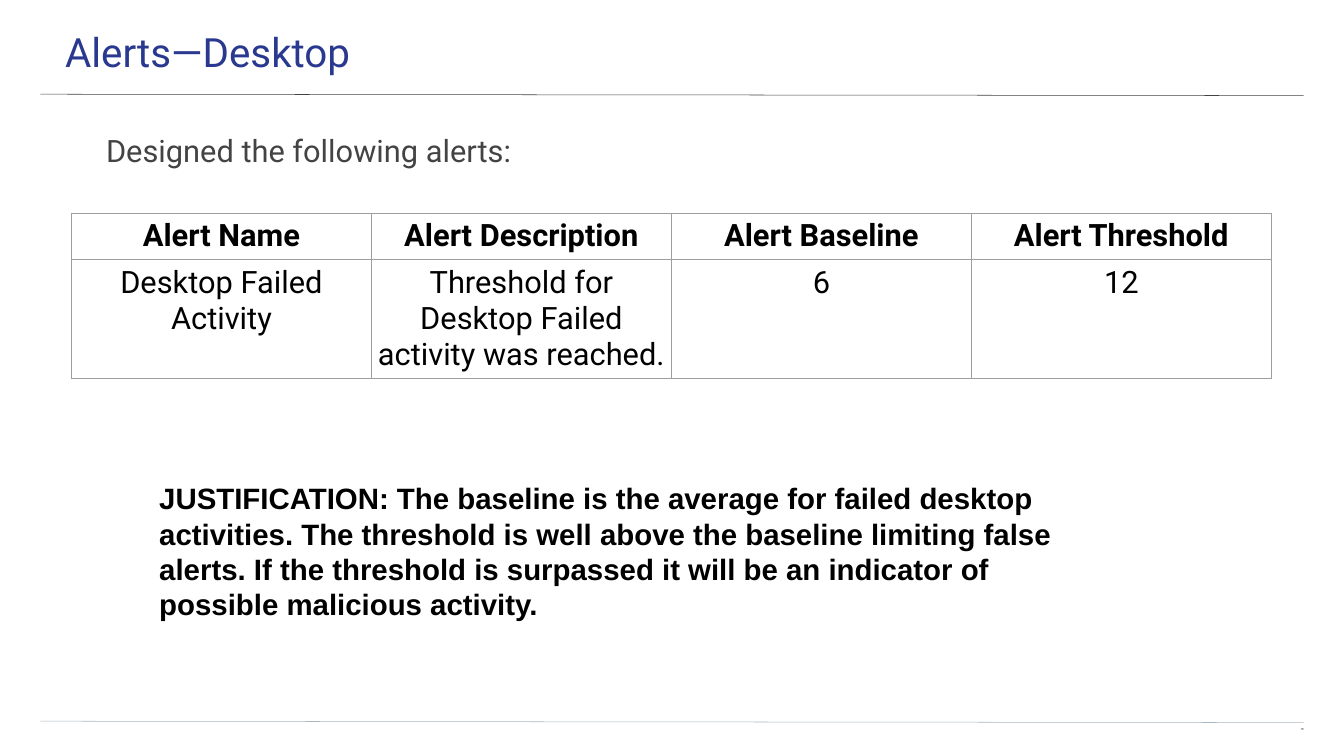
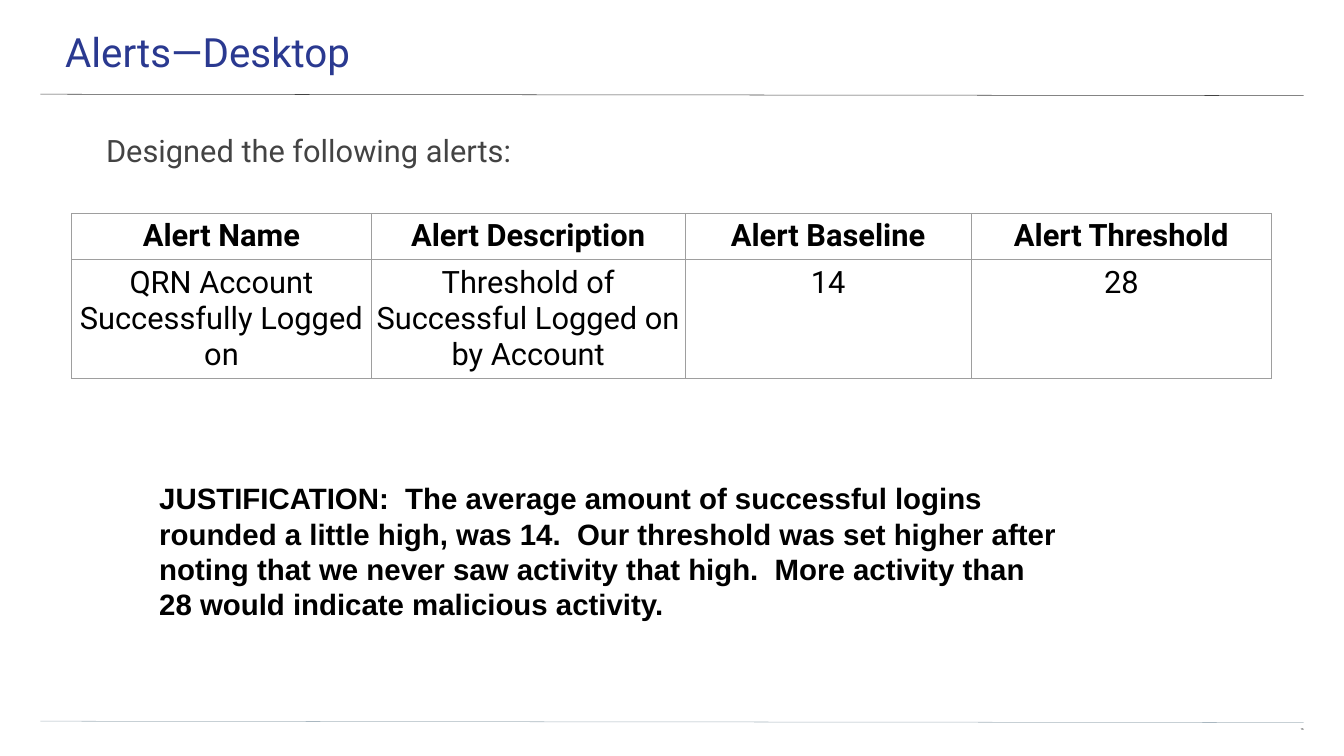
from lxml import etree
from pptx import Presentation
from pptx.dml.color import RGBColor
from pptx.enum import text
from pptx.oxml.ns import qn
from pptx.util import Pt

BLUE, GRAY, BLACK = "2A3990", "434343", "000000"
FOOT_RULE, GRID = "A9B7C0", "9E9E9E"
SANS, PLAIN = "Roboto", "Arial"
LEFT, CENTER, RIGHT = text.PP_ALIGN.LEFT, text.PP_ALIGN.CENTER, text.PP_ALIGN.RIGHT
HEADERS = ["Alert Name", "Alert Description", "Alert Baseline", "Alert Threshold"]
ROW_HEIGHTS = [66, 169]
PAD = (7.2, 7.2, 7.2, 7.2)

ALERTS = [
    {"page": 15,
     "cols": [428.4, 428.4, 428.4, 428.4],
     "row": ["Desktop Failed Activity",
             "Threshold for Desktop Failed activity was reached.", "6", "12"],
     "why": "JUSTIFICATION: The baseline is the average for failed desktop "
            "activities. The threshold is well above the baseline limiting false "
            "alerts. If the threshold is surpassed it will be an indicator of "
            "possible malicious activity."},
    {"page": 16,
     "cols": [428.4, 447.8, 409, 428.4],
     "row": ["QRN Account Successfully Logged on",
             "Threshold of Successful Logged on by Account", "14", "28"],
     "why": "JUSTIFICATION:  The average amount of successful logins rounded a "
            "little high, was 14.  Our threshold was set higher after noting that "
            "we never saw activity that high.  More activity than 28 would "
            "indicate malicious activity."},
]


def rgb(value):
    return RGBColor.from_string(value)


def set_text(tf, content, size, color, font=SANS, bold=False, align=LEFT, spacing=1):
    tf.word_wrap = True
    tf.text = content
    p = tf.paragraphs[0]
    p.alignment, p.line_spacing = align, spacing
    p.space_before = Pt(0)
    f = p.runs[0].font
    f.name, f.size, f.bold = font, Pt(size), bold
    f.color.rgb = rgb(color)


def set_frame(sp, box, insets):
    """Place a text shape, with insets as left, top, right, bottom."""
    sp.left, sp.top, sp.width, sp.height = map(Pt, box)
    tf = sp.text_frame
    tf.margin_left, tf.margin_top, tf.margin_right, tf.margin_bottom = map(Pt, insets)
    tf.vertical_anchor = text.MSO_ANCHOR.TOP
    tf.auto_size = text.MSO_AUTO_SIZE.NONE
    return tf


def add_text(s, box, insets, content, *style, **options):
    sp = s.shapes.add_textbox(*map(Pt, box))
    set_text(set_frame(sp, box, insets), content, *style, **options)


def add_rule(s, top, color):
    """Draw a nearly level line across the slide."""
    line = s.shapes.add_connector(1, Pt(57.6), Pt(top), Pt(1862), Pt(top + 2))
    line.line.color.rgb = rgb(color)
    line.line.width = Pt(0.75)
    etree.SubElement(line.element.spPr, qn("a:effectLst"))


def remove_bullet(p):
    pPr = p._p.get_or_add_pPr()
    pPr.set("marL", "0")
    pPr.set("indent", "0")
    etree.SubElement(pPr, qn("a:buNone"))


def border_cell(cell):
    tcPr = cell._tc.get_or_add_tcPr()
    for i, side in enumerate(("lnL", "lnR", "lnT", "lnB")):
        ln = etree.Element(qn(f"a:{side}"), w=str(Pt(0.75)))
        fill = etree.SubElement(ln, qn("a:solidFill"))
        etree.SubElement(fill, qn("a:srgbClr"), val=GRID)
        tcPr.insert(i, ln)


def add_alert_table(s, cols, rows):
    table = s.shapes.add_table(len(rows), len(cols), Pt(102.2), Pt(304.6),
                               Pt(sum(cols)), Pt(sum(ROW_HEIGHTS))).table
    table.first_row = table.horz_banding = False
    for column, width in zip(table.columns, cols):
        column.width = Pt(width)
    for r, values in enumerate(rows):
        table.rows[r].height = Pt(ROW_HEIGHTS[r])
        for c, value in enumerate(values):
            cell = table.cell(r, c)
            cell.margin_left = cell.margin_right = Pt(7.2)
            cell.margin_top = cell.margin_bottom = Pt(7.2)
            cell.fill.background()
            set_text(cell.text_frame, value, 44, BLACK, bold=r == 0, align=CENTER)
            border_cell(cell)


def add_base(prs, page):
    """Add a slide with the shared title, lead line, rules and page number."""
    s = prs.slides.add_slide(prs.slide_layouts[1])
    add_rule(s, 134.6, GRAY)
    add_rule(s, 1030.3, FOOT_RULE)
    tf = set_frame(s.shapes.title, (-3, 0, 1924.6, 112.3), (96, 38.2, 57.6, 19.4))
    set_text(tf, "Alerts—Desktop", 57.6, BLUE)
    add_text(s, (1807.2, 1041, 54.7, 22.3), (0, 0, 0, 19.4), str(page),
             4, BLACK, align=RIGHT, spacing=0.8)
    tf = set_frame(s.placeholders[1], (55.4, 180.7, 1806.5, 776.9), (96, 0, 96, 192))
    set_text(tf, "Designed the following alerts:", 44, GRAY, spacing=1.15)
    remove_bullet(tf.paragraphs[0])
    return s


def main():
    prs = Presentation()
    prs.slide_width, prs.slide_height = Pt(1919.5), Pt(1080)
    for alert in ALERTS:
        s = add_base(prs, alert["page"])
        add_alert_table(s, alert["cols"], [HEADERS, alert["row"]])
        add_text(s, (220.3, 679, 1304.6, 218.2), PAD, alert["why"],
                 42, BLACK, font=PLAIN, bold=True)
    prs.save("out.pptx")


if __name__ == "__main__":
    main()
